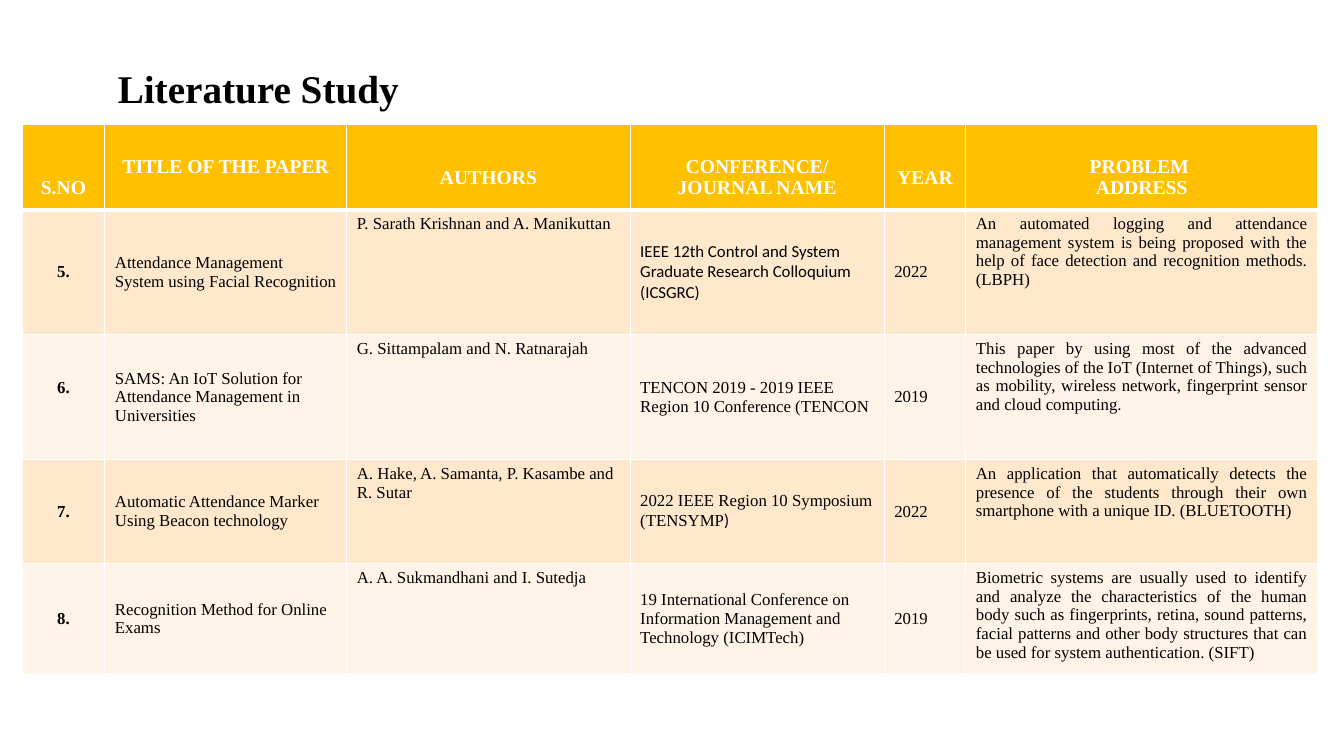
from dataclasses import dataclass

from lxml.etree import SubElement
from pptx import Presentation
from pptx.dml.color import RGBColor
from pptx.enum.text import MSO_ANCHOR as Anchor, PP_ALIGN as Align
from pptx.oxml.ns import qn
from pptx.util import Pt

PX = 9144  # 100 px to the inch


@dataclass(frozen=True)
class Theme:
    serif: str = "Times New Roman"
    sans: str = "Calibri"
    ink: str = "000000"
    white: str = "FFFFFF"
    header: str = "FFC000"
    bands: tuple = ("FFE8CC", "FFF4E7")
    title_size: int = 28
    header_size: int = 14
    body_size: int = 12
    border: int = 1
    header_rule: int = 3


THEME = Theme()

COLUMN_WIDTHS = [82, 240, 281, 252, 81, 349]
ROW_HEIGHTS = [85, 124, 124, 103, 107]

# Header lines and the extra space above them
HEADERS = [
    (["S.NO"], 42),
    (["TITLE OF THE PAPER"], 0),
    (["AUTHORS"], 21),
    (["CONFERENCE/", "JOURNAL NAME"], 21),
    (["YEAR"], 21),
    (["PROBLEM ", "ADDRESS"], 21),
]

# Alignment, anchor and weight of each body column
COLUMN_STYLES = [
    (Align.CENTER, Anchor.MIDDLE, True),
    (Align.LEFT, Anchor.MIDDLE, False),
    (Align.LEFT, Anchor.TOP, False),
    (Align.LEFT, Anchor.MIDDLE, False),
    (Align.LEFT, Anchor.MIDDLE, False),
    (Align.JUSTIFY, Anchor.TOP, False),
]

# A cell is plain text, or a list of (text, font) runs
PAPERS = [
    ("5.", "Attendance Management System using Facial Recognition",
     "P. Sarath Krishnan and A. Manikuttan",
     [("IEEE 12th Control and System Graduate Research Colloquium (ICSGRC)", THEME.sans)],
     "2022",
     "An automated logging and attendance management system is being proposed "
     "with the help of face detection and recognition methods. (LBPH)"),
    ("6.", "SAMS: An IoT Solution for Attendance Management in Universities",
     "G. Sittampalam and N. Ratnarajah",
     "TENCON 2019 - 2019 IEEE Region 10 Conference (TENCON",
     "2019",
     "This paper by using most of the advanced technologies of the IoT "
     "(Internet of Things), such as mobility, wireless network, fingerprint "
     "sensor and cloud computing."),
    ("7.", "Automatic Attendance Marker Using Beacon technology",
     "A. Hake, A. Samanta, P. Kasambe and R. Sutar",
     [("2022 IEEE Region 10 Symposium (TENSYMP", THEME.serif), (")", THEME.sans)],
     "2022",
     "An application that automatically detects the presence of the students "
     "through their own smartphone with a unique ID. (BLUETOOTH)"),
    ("8.", "Recognition Method for Online Exams",
     "A. A. Sukmandhani and I. Sutedja",
     "19 International Conference on Information Management and Technology (ICIMTech)",
     "2019",
     "Biometric systems are usually used to identify and analyze the "
     "characteristics of the human body such as fingerprints, retina, sound "
     "patterns, facial patterns and other body structures that can be used "
     "for system authentication. (SIFT)"),
]


class SlideBuilder:
    def __init__(self, slide, theme):
        self.slide = slide
        self.theme = theme

    def add_lines(self, frame, lines, size, color, bold, align):
        """Fill a text frame with one paragraph per line."""
        for index, line in enumerate(lines):
            paragraph = frame.add_paragraph() if index else frame.paragraphs[0]
            paragraph.alignment = align
            runs = [(line, self.theme.serif)] if isinstance(line, str) else line
            for text, font_name in runs:
                run = paragraph.add_run()
                run.text = text
                run.font.name = font_name
                run.font.size = Pt(size)
                run.font.bold = bold
                run.font.color.rgb = RGBColor.from_string(color)

    def title(self, text, left, top, width, height):
        box = self.slide.shapes.add_textbox(left * PX, top * PX, width * PX, height * PX)
        frame = box.text_frame
        frame.word_wrap = True
        frame.margin_top, frame.margin_bottom = 7 * PX, 0
        frame.vertical_anchor = Anchor.TOP
        self.add_lines(frame, [text], self.theme.title_size, self.theme.ink, True, Align.LEFT)
        frame.paragraphs[0].line_spacing = 0.9

    def table(self, left, top, widths, heights):
        table = self.slide.shapes.add_table(
            len(heights), len(widths), left * PX, top * PX,
            sum(widths) * PX, sum(heights) * PX).table
        table.horz_banding = False
        for column, width in zip(table.columns, widths):
            column.width = width * PX
        for row, height in zip(table.rows, heights):
            row.height = height * PX
        return table

    def borders(self, cell, top, bottom):
        side = self.theme.border
        properties = cell._tc.get_or_add_tcPr()
        for tag, width in (("lnL", side), ("lnR", side), ("lnT", top), ("lnB", bottom)):
            line = SubElement(properties, qn(f"a:{tag}"), w=str(Pt(width)))
            fill = SubElement(line, qn("a:solidFill"))
            SubElement(fill, qn("a:srgbClr"), val=self.theme.white)

    def paint(self, cell, color, anchor):
        cell.fill.solid()
        cell.fill.fore_color.rgb = RGBColor.from_string(color)
        cell.vertical_anchor = anchor

    def header_cell(self, cell, lines, space_above):
        theme = self.theme
        self.borders(cell, theme.border, theme.header_rule)
        self.paint(cell, theme.header, Anchor.MIDDLE)
        cell.margin_top = (5 + space_above) * PX
        self.add_lines(cell.text_frame, lines, theme.header_size, theme.white, True, Align.CENTER)

    def body_cell(self, cell, content, row, style):
        theme = self.theme
        align, anchor, bold = style
        self.borders(cell, theme.border if row else theme.header_rule, theme.border)
        self.paint(cell, theme.bands[row % 2], anchor)
        self.add_lines(cell.text_frame, [content], theme.body_size, theme.ink, bold, align)


def main():
    deck = Presentation()
    deck.slide_width, deck.slide_height = 1333 * PX, 750 * PX
    builder = SlideBuilder(deck.slides.add_slide(deck.slide_layouts[6]), THEME)

    builder.title("Literature Study", 107, 62, 370, 43)
    papers = builder.table(22, 123, COLUMN_WIDTHS, ROW_HEIGHTS)
    for column, (lines, space_above) in enumerate(HEADERS):
        builder.header_cell(papers.cell(0, column), lines, space_above)
    for row, paper in enumerate(PAPERS):
        for column, (content, style) in enumerate(zip(paper, COLUMN_STYLES)):
            builder.body_cell(papers.cell(row + 1, column), content, row, style)
    papers.cell(2, 0).margin_bottom = 23 * PX  # number 6 sits a little higher

    deck.save("out.pptx")


if __name__ == "__main__":
    main()
